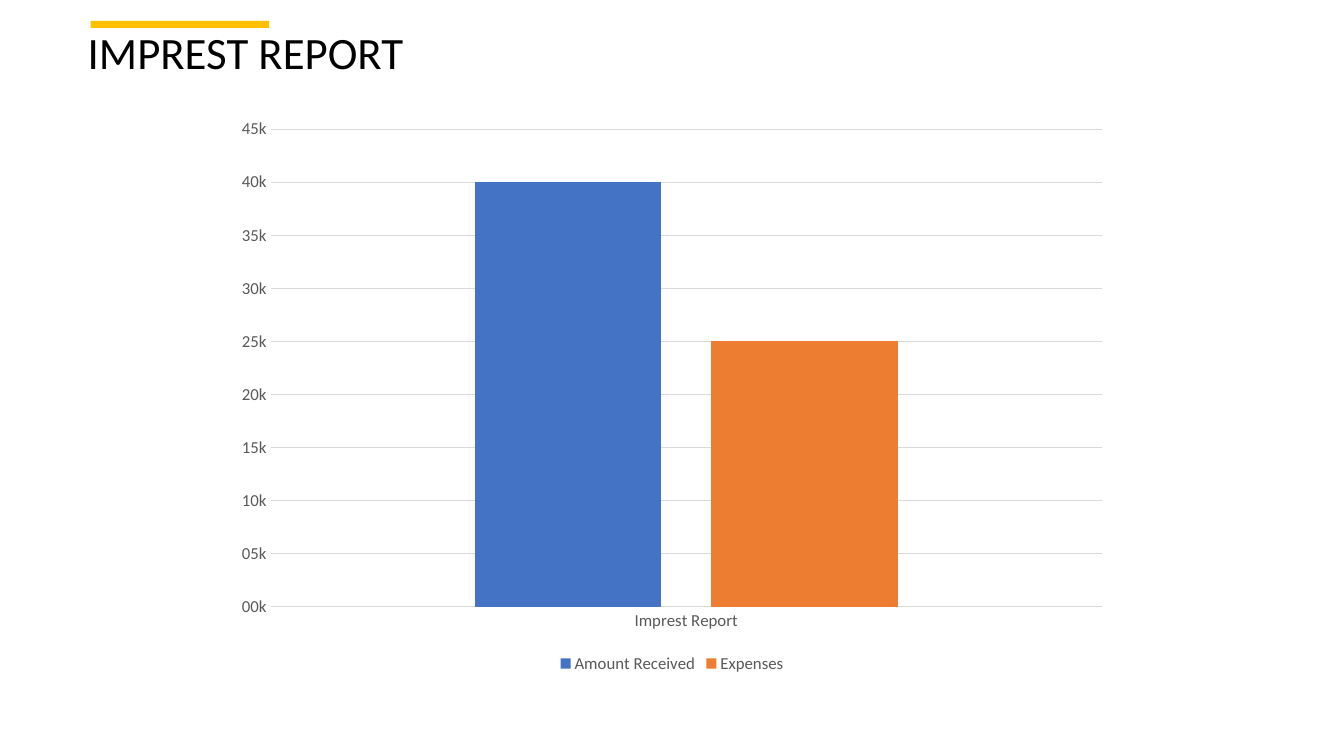
import dataclasses

import pptx
import pptx.chart.data
import pptx.dml.color
import pptx.enum.chart
import pptx.enum.shapes
import pptx.enum.text
import pptx.util

Pt = pptx.util.Pt


@dataclasses.dataclass(frozen=True)
class Theme:
    font: str = "Calibri"
    title_size: float = 32
    label_size: float = 12
    title: str = "000000"
    label: str = "595959"
    rule: str = "D9D9D9"
    accent: str = "FFC000"
    received: str = "4472C4"
    expenses: str = "ED7D31"


class ReportSlide:
    def __init__(self, slide, theme):
        self.slide = slide
        self.theme = theme

    def color(self, value):
        return pptx.dml.color.RGBColor.from_string(value)

    def style_font(self, font, size, color):
        font.name = self.theme.font
        font.size = Pt(size)
        font.color.rgb = self.color(color)

    def style_line(self, line):
        line.color.rgb = self.color(self.theme.rule)
        line.width = Pt(0.75)

    def add_title(self, text, left, top, width, height):
        title = self.slide.shapes.add_textbox(Pt(left), Pt(top), Pt(width), Pt(height))
        frame = title.text_frame
        frame.word_wrap = True
        frame.vertical_anchor = pptx.enum.text.MSO_ANCHOR.MIDDLE
        paragraph = frame.paragraphs[0]
        paragraph.line_spacing = 0.9
        run = paragraph.add_run()
        run.text = text
        self.style_font(run.font, self.theme.title_size, self.theme.title)

    def add_bar(self, color, left, top, width, height):
        bar = self.slide.shapes.add_shape(
            pptx.enum.shapes.MSO_SHAPE.RECTANGLE, Pt(left), Pt(top), Pt(width), Pt(height)
        )
        bar.shadow.inherit = False
        bar.fill.solid()
        bar.fill.fore_color.rgb = self.color(color)
        bar.line.fill.background()

    def add_column_chart(self, category, amounts, left, top, width, height):
        data = pptx.chart.data.CategoryChartData(number_format='00,"k"')
        data.categories = [category]
        for name, value, _ in amounts:
            data.add_series(name, [value])
        chart = self.slide.shapes.add_chart(
            pptx.enum.chart.XL_CHART_TYPE.COLUMN_CLUSTERED,
            Pt(left), Pt(top), Pt(width), Pt(height), data,
        ).chart
        self.style_font(chart.font, self.theme.label_size, self.theme.label)
        chart.has_title = False

        plot = chart.plots[0]
        plot.gap_width = 219
        plot.overlap = -27
        plot.vary_by_categories = False
        for series, (_, _, color) in zip(plot.series, amounts):
            series.format.fill.solid()
            series.format.fill.fore_color.rgb = self.color(color)
            series.invert_if_negative = False

        for axis in (chart.category_axis, chart.value_axis):
            axis.major_tick_mark = pptx.enum.chart.XL_TICK_MARK.NONE
            axis.minor_tick_mark = pptx.enum.chart.XL_TICK_MARK.NONE
            self.style_font(axis.tick_labels.font, self.theme.label_size, self.theme.label)
        self.style_line(chart.category_axis.format.line)

        amount_axis = chart.value_axis
        amount_axis.minimum_scale = 0
        amount_axis.format.line.fill.background()
        amount_axis.has_major_gridlines = True
        self.style_line(amount_axis.major_gridlines.format.line)
        amount_axis.tick_labels.number_format = '00,"k"'
        amount_axis.tick_labels.number_format_is_linked = False

        chart.has_legend = True
        chart.legend.position = pptx.enum.chart.XL_LEGEND_POSITION.BOTTOM
        chart.legend.include_in_layout = False
        self.style_font(chart.legend.font, self.theme.label_size, self.theme.label)


def main():
    presentation = pptx.Presentation()
    presentation.slide_width = Pt(960)
    presentation.slide_height = Pt(540)
    theme = Theme()
    report = ReportSlide(
        presentation.slides.add_slide(presentation.slide_layouts[6]), theme
    )
    report.add_title("IMPREST REPORT", 55.6, 15, 722, 49)
    amounts = [
        ("Amount Received", 40000, theme.received),
        ("Expenses", 25000, theme.expenses),
    ]
    report.add_column_chart("Imprest Report", amounts, 160, 77, 640, 407)
    report.add_bar(theme.accent, 64.8, 15, 127.5, 5)
    presentation.save("out.pptx")


if __name__ == "__main__":
    main()
